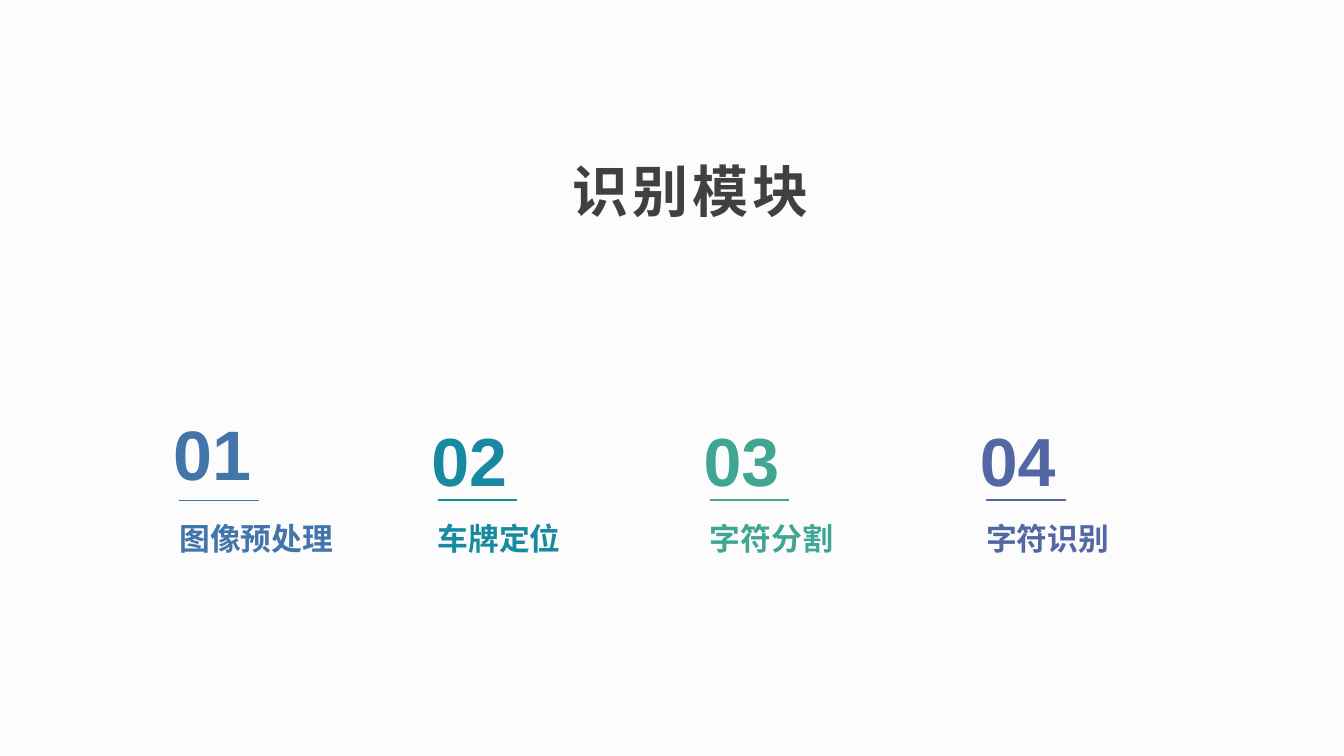
from lxml import etree
from pptx import Presentation
from pptx import util as u
from pptx.dml.color import RGBColor
from pptx.enum import shapes, text
from pptx.oxml.ns import qn

CJK_FONT = "Noto Sans CJK SC"
RULE_WIDTH = 0.79

# left, number, label, colour, number size, number line spacing, rule width
MODULES = [
    (1.78, "01", "图像预处理", "4276AA", 50, 1.1, 0.5),
    (4.34, "02", "车牌定位", "178AA1", 48.6, 1.2, 1),
    (7.04, "03", "字符分割", "40A693", 48.6, 1.2, 1),
    (9.78, "04", "字符识别", "5268A5", 48.6, 1.2, 1),
]


def rgb(value):
    return RGBColor.from_string(value)


def add_text(slide, box, content, size, color, line_spacing, margins, font="Arial"):
    """Add one bold line; box and margins are in inches (margins: left, top, right, bottom)."""
    shape = slide.shapes.add_textbox(*map(u.Inches, box))
    frame = shape.text_frame
    frame.word_wrap = True
    (frame.margin_left, frame.margin_top,
     frame.margin_right, frame.margin_bottom) = map(u.Inches, margins)
    frame.text = content
    paragraph = frame.paragraphs[0]
    paragraph.line_spacing = line_spacing
    run = paragraph.runs[0]
    run.font.name = font
    run.font.size = u.Pt(size)
    run.font.bold = True
    run.font.color.rgb = rgb(color)
    east_asian = etree.SubElement(run.font._element, qn("a:ea"))
    east_asian.set("typeface", CJK_FONT)
    return shape


def add_title(slide, box):
    shape = add_text(slide, box, "识别模块", 40, "404040", 1.2, (0.1, 0.05, 0.1, 0), CJK_FONT)
    frame = shape.text_frame
    frame.vertical_anchor = text.MSO_ANCHOR.MIDDLE
    paragraph = frame.paragraphs[0]
    paragraph.alignment = text.PP_ALIGN.CENTER
    paragraph.runs[0].font._element.set("spc", "300")


def add_module(slide, left, top, number, label, color, size, spacing, rule_weight):
    """Stack a number, a rule and a label."""
    add_text(slide, (left - 0.16, top, 1.14, 0.98), number, size, color, spacing,
             (0.1, 0, 0.1, 0))
    rule_y = u.Inches(top + 0.97)
    rule = slide.shapes.add_connector(
        shapes.MSO_CONNECTOR.STRAIGHT,
        u.Inches(left), rule_y, u.Inches(left + RULE_WIDTH), rule_y)
    rule.line.color.rgb = rgb(color)
    rule.line.width = u.Pt(rule_weight)
    etree.SubElement(rule._element.spPr, qn("a:effectLst"))
    add_text(slide, (left, top + 1.06, 1.92, 0.49), label, 22, color, 1.3, (0, 0, 0, 0))


def main():
    presentation = Presentation()
    presentation.slide_width = u.Inches(13.33)
    presentation.slide_height = u.Inches(7.5)
    slide = presentation.slides.add_slide(presentation.slide_layouts[6])
    slide.background.fill.solid()
    slide.background.fill.fore_color.rgb = rgb("FDFCFC")

    add_title(slide, (0.92, 1.25, 11.86, 1.08))
    for left, *details in MODULES:
        add_module(slide, left, 3.99, *details)

    presentation.save("out.pptx")


if __name__ == "__main__":
    main()
